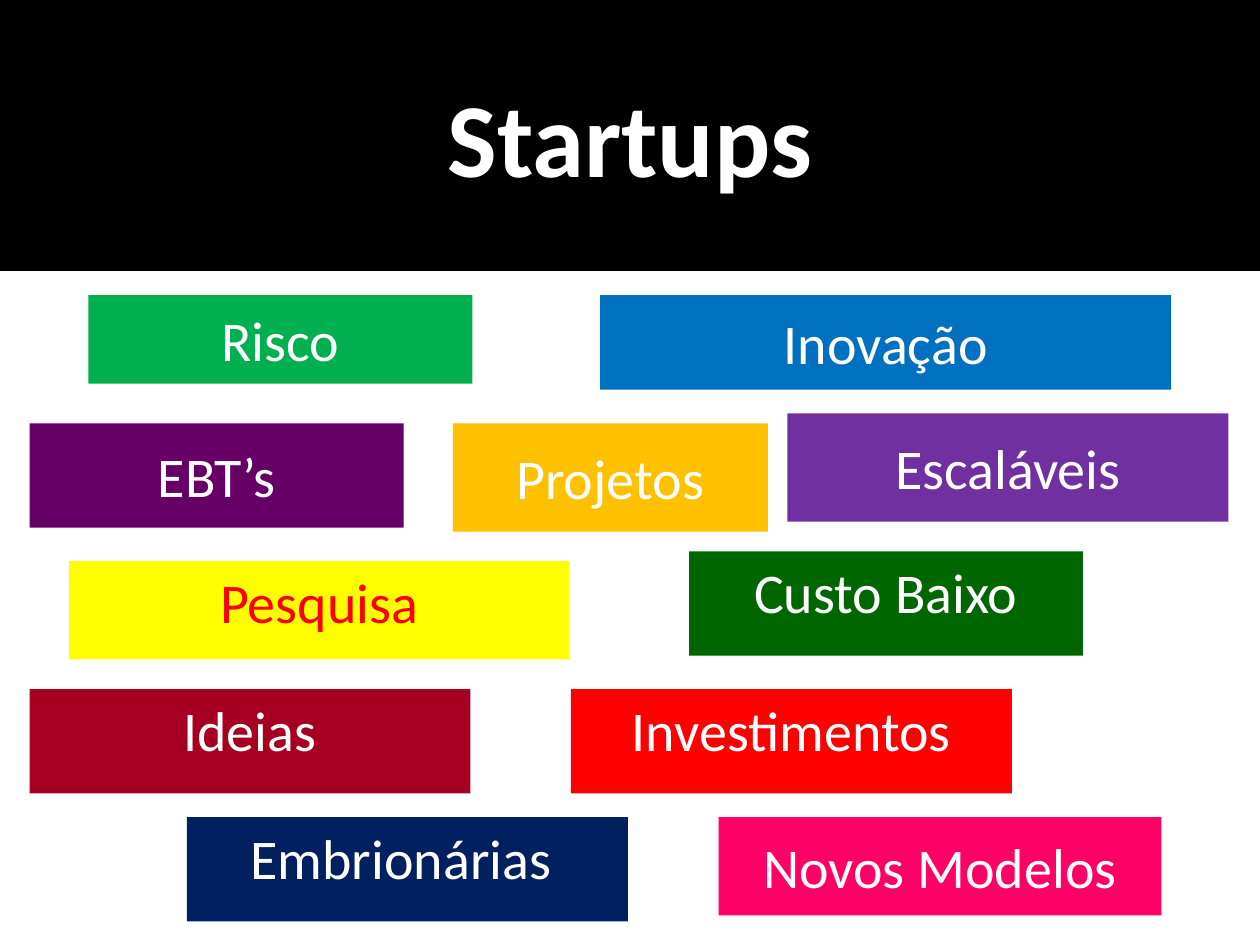
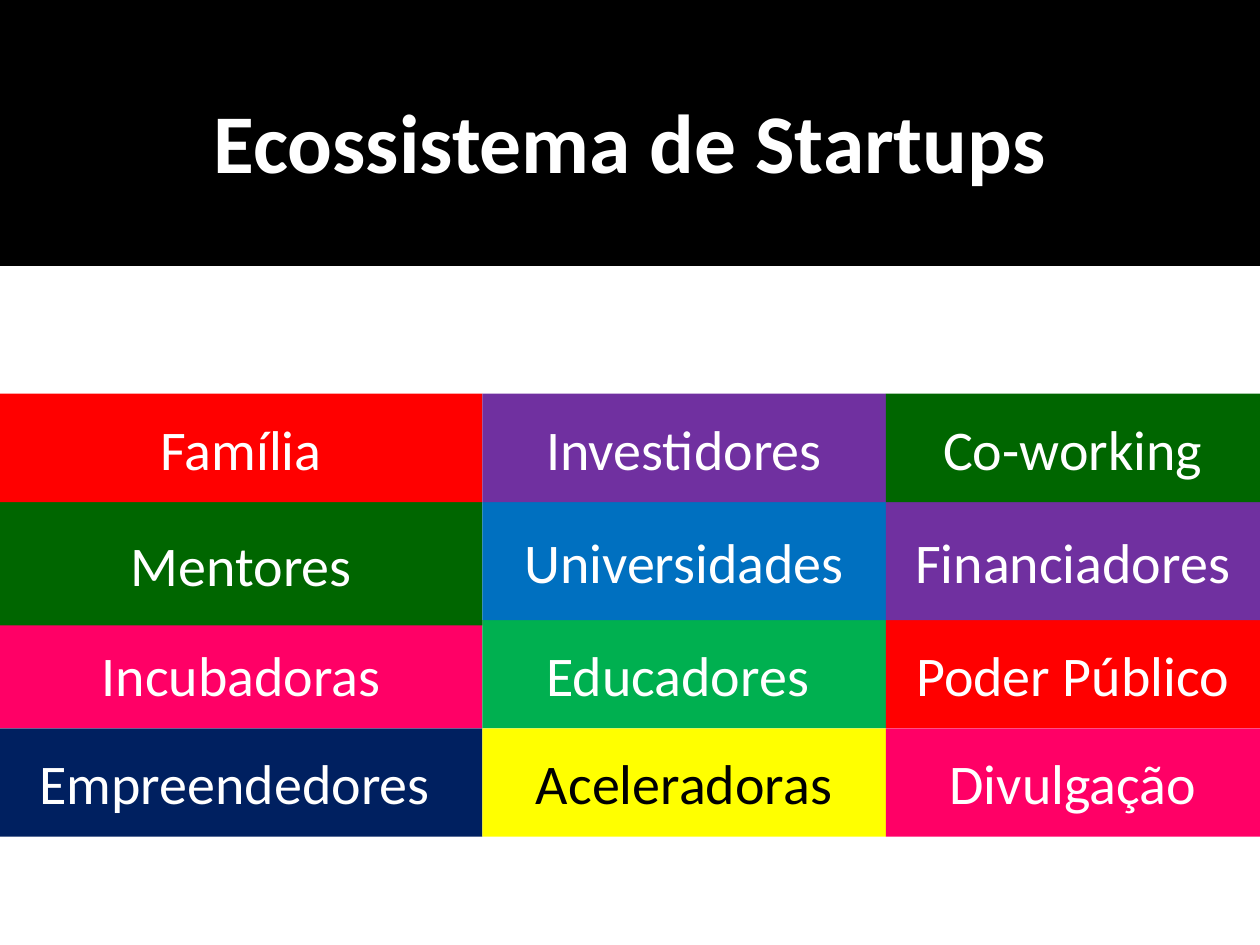
from dataclasses import dataclass

from pptx import Presentation
from pptx.dml.color import RGBColor
from pptx.enum import shapes, text
from pptx.util import Pt

FONT = "Calibri"
WIDE, HIGH = 720, 540
BLACK, WHITE = "000000", "FFFFFF"
RED, GOLD, YELLOW = "FF0000", "FFC000", "FFFF00"
GREEN, FOREST = "00B050", "006600"
BLUE, NAVY = "0070C0", "002060"
PURPLE, PLUM = "7030A0", "660066"
PINK, WINE = "FF0066", "A50021"
TOP, MID = text.MSO_ANCHOR.TOP, text.MSO_ANCHOR.MIDDLE


@dataclass
class Block:
    """A filled box with one centred line of text, measured in points."""
    label: str
    left: float
    top: float
    width: float
    height: float
    fill: str
    ink: str = WHITE
    anchor: text.MSO_ANCHOR = MID
    size: float = 32
    bold: bool = False
    inset: float = 3.6


TERMS = [
    Block("Risco", 50.6, 168.7, 219.4, 50.6, GREEN),
    Block("Inovação", 343, 168.7, 326.3, 54, BLUE),
    Block("EBT’s", 16.9, 241.9, 213.8, 59.6, PLUM),
    Block("Projetos", 258.8, 241.9, 180, 61.9, GOLD),
    Block("Escaláveis", 450, 236.2, 252, 61.9, PURPLE),
    Block("Pesquisa", 39.4, 320.6, 286, 56.2, YELLOW, RED, TOP),
    Block("Custo Baixo", 393.8, 315, 225, 59.6, FOREST, anchor=TOP),
    Block("Ideias", 16.9, 393.8, 252, 59.6, WINE, anchor=TOP),
    Block("Investimentos", 326.3, 393.8, 252, 59.6, RED, anchor=TOP),
    Block("Embrionárias ", 106.8, 466.9, 252, 59.6, NAVY, anchor=TOP),
    Block("Novos Modelos", 410.6, 466.9, 253.1, 56.2, PINK),
]

COLS = [0, 275.7, 506.2, WIDE]
ROWS = [224.9, 286.9, 354.4, 416.2, 478.1]
ACTORS = [
    [("Família", RED), ("Investidores", PURPLE), ("Co-working", FOREST)],
    [("Mentores", FOREST), ("Universidades", BLUE), ("Financiadores", PURPLE)],
    [("Incubadoras", PINK), ("Educadores ", GREEN), ("Poder Público", RED)],
    [("Empreendedores ", NAVY), ("Aceleradoras", YELLOW), ("Divulgação", PINK)],
]
EXTRA = {"Mentores": 3}


def tint(code: str) -> RGBColor:
    """Turn a hex string into a colour."""
    return RGBColor.from_string(code)


def draw(slide, block: Block) -> None:
    """Draw one block on the slide."""
    box = slide.shapes.add_shape(
        shapes.MSO_SHAPE.RECTANGLE,
        Pt(block.left), Pt(block.top), Pt(block.width), Pt(block.height))
    box.shadow.inherit = False
    box.fill.solid()
    box.fill.fore_color.rgb = tint(block.fill)
    box.line.fill.background()
    frame = box.text_frame
    frame.word_wrap = True
    frame.vertical_anchor = block.anchor
    frame.margin_top = Pt(block.inset)
    line = frame.paragraphs[0]
    line.alignment = text.PP_ALIGN.CENTER
    run = line.add_run()
    run.text = block.label
    run.font.name = FONT
    run.font.size = Pt(block.size)
    run.font.bold = block.bold
    run.font.color.rgb = tint(block.ink)


def band(label: str, height: float, size: float, inset: float = 3.6) -> Block:
    """Make the black title band across the top."""
    return Block(label, 0, 0, WIDE, height, BLACK, size=size, bold=True, inset=inset)


def grid() -> list[Block]:
    """Lay the actors out in rows, lowest row first."""
    cells = []
    for row, actors in reversed(list(enumerate(ACTORS))):
        for col, (name, fill) in enumerate(actors):
            tall = ROWS[row + 1] - ROWS[row] + EXTRA.get(name, 0)
            ink = BLACK if fill == YELLOW else WHITE
            cells.append(Block(name, COLS[col], ROWS[row],
                               COLS[col + 1] - COLS[col], tall, fill, ink))
    return cells


def main() -> None:
    """Build both slides and save them."""
    deck = Presentation()
    deck.slide_width, deck.slide_height = Pt(WIDE), Pt(HIGH)
    pages = [
        [band("Startups", 154.8, 60), *TERMS],
        [band("Ecossistema de Startups", 151.9, 47.7, 12), *grid()],
    ]
    for blocks in pages:
        slide = deck.slides.add_slide(deck.slide_layouts[6])
        for block in blocks:
            draw(slide, block)
    deck.save("out.pptx")


if __name__ == "__main__":
    main()
